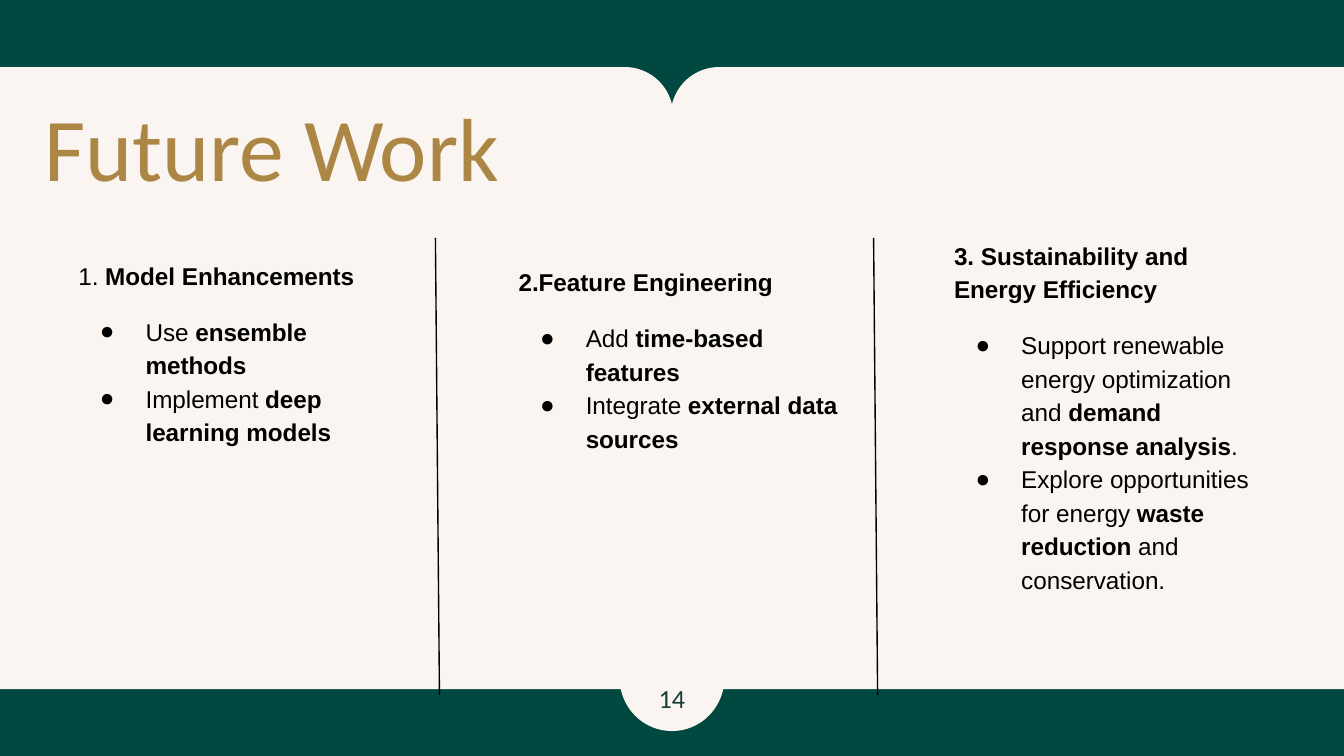
"""Build the three-column Future Work slide."""
from dataclasses import dataclass

from lxml import etree
from pptx import Presentation
from pptx.dml.color import RGBColor
from pptx.enum.shapes import MSO_CONNECTOR, MSO_SHAPE
from pptx.enum.text import MSO_ANCHOR, PP_ALIGN
from pptx.oxml.ns import qn
from pptx.util import Inches, Pt

PANEL, CIRCLE = MSO_SHAPE.ROUND_1_RECTANGLE, MSO_SHAPE.OVAL
STRAIGHT = MSO_CONNECTOR.STRAIGHT
TOP, MIDDLE = MSO_ANCHOR.TOP, MSO_ANCHOR.MIDDLE
LEFT, CENTER = PP_ALIGN.LEFT, PP_ALIGN.CENTER
WIDTH = Inches(10)
HEIGHT = WIDTH * 9 // 16


@dataclass(frozen=True)
class Theme:
    """Colours, fonts and sizes of the slide."""
    green: str = "014840"
    cream: str = "FAF5F0"
    gold: str = "AB8645"
    number: str = "133E37"
    ink: str = "000000"
    display: str = "Calibri"
    body: str = "Arial"
    title_size: float = 48
    number_size: float = 14
    body_size: float = 13
    line_width: float = 0.75
    spacing: float = 1.15
    gap: float = 12


@dataclass(frozen=True)
class Box:
    """A rectangle in percent of the slide's width and height."""
    x: float
    y: float
    w: float
    h: float

    def emu(self) -> tuple[int, int, int, int]:
        """Return left, top, width and height in EMU."""
        return (int(WIDTH * self.x / 100), int(HEIGHT * self.y / 100),
                int(WIDTH * self.w / 100), int(HEIGHT * self.h / 100))


@dataclass(frozen=True)
class Span:
    """A run of text, bold or not."""
    text: str
    bold: bool = False


@dataclass(frozen=True)
class Style:
    """The font of a run."""
    font: str
    size: float
    color: str


@dataclass(frozen=True)
class Column:
    """A heading with its bullets."""
    box: Box
    heading: list[Span]
    bullets: list[list[Span]]
    spaced: bool = True


T = Theme()
BODY = Style(T.body, T.body_size, T.ink)
COLUMNS = [
    Column(Box(4.85, 32.75, 25, 50.13),
           [Span("1. "), Span("Model Enhancements", True)],
           [[Span("Use "), Span("ensemble methods", True)],
            [Span("Implement "), Span("deep learning models", True)]],
           spaced=False),
    Column(Box(37.6, 33.05, 25.8, 41.96),
           [Span("2.Feature Engineering", True)],
           [[Span("Add "), Span("time-based features", True)],
            [Span("Integrate "), Span("external data sources", True)]]),
    Column(Box(70, 29.55, 25.8, 64.36),
           [Span("3. Sustainability and Energy Efficiency", True)],
           [[Span("Support renewable energy optimization and "),
             Span("demand response analysis", True), Span(".")],
            [Span("Explore opportunities for energy "),
             Span("waste reduction", True), Span(" and conservation.")]]),
]


def rgb(color: str) -> RGBColor:
    """Turn a hex string into a colour."""
    return RGBColor.from_string(color)


def add_plain(s, kind, box: Box, corner: float = 0, flip: bool = False) -> None:
    """Draw a cream shape without outline."""
    sp = s.shapes.add_shape(kind, *box.emu())
    sp.shadow.inherit = False
    sp.fill.solid()
    sp.fill.fore_color.rgb = rgb(T.cream)
    sp.line.fill.background()
    if corner:
        sp.adjustments[0] = corner
    if flip:
        sp._element.spPr.xfrm.set("flipH", "1")


def add_frame(s, box: Box, anchor=TOP):
    """Add a wrapping text box with even insets."""
    tf = s.shapes.add_textbox(*box.emu()).text_frame
    tf.word_wrap = True
    tf.vertical_anchor = anchor
    tf.margin_left = tf.margin_right = Inches(0.1)
    tf.margin_top = tf.margin_bottom = Inches(0.1)
    return tf


def add_runs(p, spans: list[Span], style: Style) -> None:
    """Fill a paragraph run by run."""
    for span in spans:
        r = p.add_run()
        r.text = span.text
        r.font.name = style.font
        r.font.size = Pt(style.size)
        r.font.bold = span.bold
        r.font.color.rgb = rgb(style.color)


def add_label(s, box: Box, text: str, style: Style, align=LEFT) -> None:
    """Add one centred-in-height line of text."""
    p = add_frame(s, box, MIDDLE).paragraphs[0]
    p.alignment = align
    add_runs(p, [Span(text)], style)


def set_bullet(p) -> None:
    """Give a paragraph a round bullet and a hanging indent."""
    pPr = p._p.get_or_add_pPr()
    pPr.set("marL", str(Inches(0.5)))
    pPr.set("indent", str(Inches(-0.34)))
    color = etree.SubElement(pPr, qn("a:buClr"))
    etree.SubElement(color, qn("a:srgbClr"), val=T.ink)
    etree.SubElement(pPr, qn("a:buFont"), typeface=T.body)
    etree.SubElement(pPr, qn("a:buChar"), char="●")


def add_column(s, column: Column) -> None:
    """Write a heading and its bullets."""
    tf = add_frame(s, column.box)
    p = tf.paragraphs[0]
    if column.spaced:
        p.line_spacing = T.spacing
        p.space_before = Pt(T.gap)
    add_runs(p, column.heading, BODY)
    for i, spans in enumerate(column.bullets):
        p = tf.add_paragraph()
        p.line_spacing = T.spacing
        p.space_before = Pt(0 if i else T.gap)
        set_bullet(p)
        add_runs(p, spans, BODY)


def add_divider(s, box: Box) -> None:
    """Draw a thin line from corner to corner of a box."""
    x, y, w, h = box.emu()
    line = s.shapes.add_connector(STRAIGHT, x, y, x + w, y + h)
    line.line.color.rgb = rgb(T.ink)
    line.line.width = Pt(T.line_width)
    etree.SubElement(line._element.spPr, qn("a:effectLst"))


def main() -> None:
    """Build and save the slide."""
    prs = Presentation()
    prs.slide_width, prs.slide_height = WIDTH, HEIGHT
    s = prs.slides.add_slide(prs.slide_layouts[6])
    s.background.fill.solid()
    s.background.fill.fore_color.rgb = rgb(T.green)
    for x, flip in ((49.9, True), (0, False)):
        add_plain(s, PANEL, Box(x, 8.87, 50.1, 82.3), 0.078, flip)
    add_plain(s, CIRCLE, Box(46.1, 82.67, 7.8, 14.04))
    add_label(s, Box(46.1, 88.18, 7.8, 8.18), "14",
              Style(T.display, T.number_size, T.number), CENTER)
    add_label(s, Box(2.3, 11.5, 44.9, 15.64), "Future Work",
              Style(T.display, T.title_size, T.gold))
    for column in COLUMNS:
        add_column(s, column)
    for x in (32.4, 65):
        add_divider(s, Box(x, 31.47, 0.3, 60.44))
    prs.save("out.pptx")


if __name__ == "__main__":
    main()
